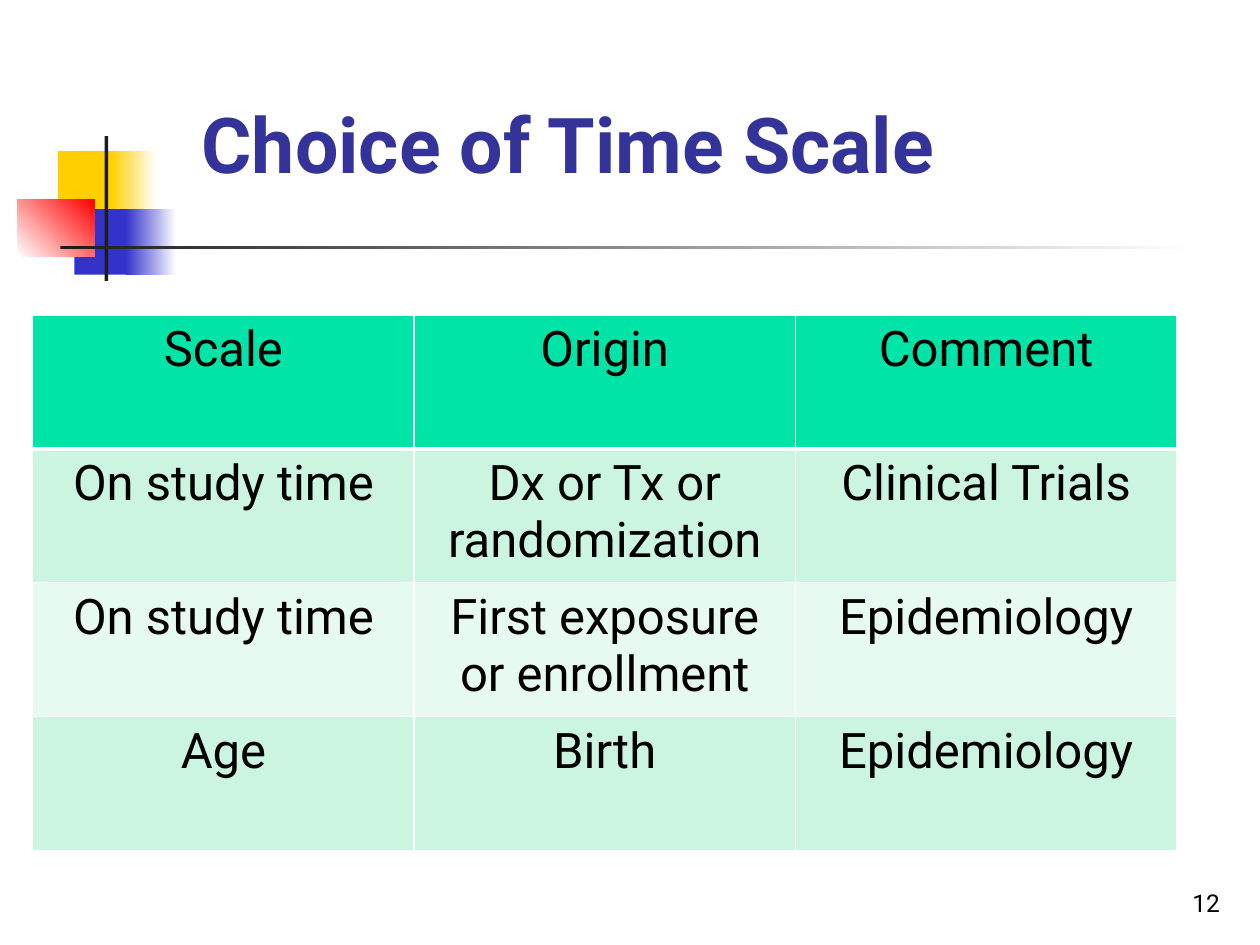
import pptx
import pptx.util
import pptx.dml.color
import pptx.enum.shapes
import pptx.enum.text
import pptx.oxml
import pptx.oxml.ns

Pt = pptx.util.Pt
ALIGN = pptx.enum.text.PP_ALIGN
FONT = "Roboto"
COLORS = {
    "white": "FFFFFF",
    "black": "000000",
    "charcoal": "1C1C1C",
    "yellow": "FFCF01",
    "blue": "3333CC",
    "red": "FF0000",
    "title": "333399",
    "header": "00E4A8",
    "band_dark": "CCF5E1",
    "band_light": "E7FAF1",
}
MOTIF = [
    ((33.12, 86.4, 34.56, 37.44), ["yellow"], 0),
    ((63.36, 86.4, 25.92, 37.44), ["yellow", "white"], 0),
    ((42.48, 119.52, 33.12, 37.44), ["blue"], 0),
    ((72, 119.52, 28.8, 37.44), ["blue", "white"], 0),
    ((10.08, 113.76, 43.92, 33.12), ["white", "red"], 45),
    ((59.76, 77.76, 2.16, 82.8), ["charcoal"], 0),
    ((34.56, 140.4, 648, 2.16), ["charcoal", "white"], 0),
]
ROWS = [
    ["Scale", "Origin", "Comment"],
    ["On study time", "Dx or Tx or randomization", "Clinical Trials"],
    ["On study time", "First exposure\nor enrollment", "Epidemiology"],
    ["Age", "Birth", "Epidemiology"],
]
ROW_FILLS = ["header", "band_dark", "band_light", "band_dark"]


def rgb(name):
    return pptx.dml.color.RGBColor.from_string(COLORS[name])


def write_text(text_frame, text, size, color, alignment, bold=False):
    text_frame.text = text
    for paragraph in text_frame.paragraphs:
        paragraph.alignment = alignment
        for run in paragraph.runs:
            run.font.name = FONT
            run.font.size = Pt(size)
            run.font.bold = bold
            run.font.color.rgb = rgb(color)


def add_block(slide, box, colors, angle):
    shape = slide.shapes.add_shape(
        pptx.enum.shapes.MSO_SHAPE.RECTANGLE, *map(Pt, box))
    shape.shadow.inherit = False
    shape.line.fill.background()
    if len(colors) == 1:
        shape.fill.solid()
        shape.fill.fore_color.rgb = rgb(colors[0])
        return
    shape.fill.gradient()
    shape.fill.gradient_angle = angle
    for stop, color in zip(shape.fill.gradient_stops, colors):
        stop.color.rgb = rgb(color)


def set_title(slide, text):
    title = slide.shapes.title
    title.left, title.top, title.width, title.height = map(
        Pt, (108, 21.6, 576, 90))
    text_frame = title.text_frame
    write_text(text_frame, text, 44, "title", ALIGN.LEFT, True)
    text_frame.auto_size = pptx.enum.text.MSO_AUTO_SIZE.NONE
    text_frame.vertical_anchor = pptx.enum.text.MSO_ANCHOR.BOTTOM


def set_borders(cell, bottom_width):
    properties = cell._tc.get_or_add_tcPr()
    for side, width in zip("LRTB", (1, 1, 1, bottom_width)):
        properties.append(pptx.oxml.parse_xml(
            f'<a:ln{side} {pptx.oxml.ns.nsdecls("a")} w="{Pt(width)}">'
            f'<a:solidFill><a:srgbClr val="{COLORS["white"]}"/></a:solidFill>'
            f'</a:ln{side}>'))


def add_scale_table(slide):
    table = slide.shapes.add_table(
        len(ROWS), len(ROWS[0]), Pt(18.72), Pt(180), Pt(653.76), Pt(306)).table
    for row_index, (texts, fill) in enumerate(zip(ROWS, ROW_FILLS)):
        for column_index, text in enumerate(texts):
            cell = table.cell(row_index, column_index)
            write_text(cell.text_frame, text, 28, "black", ALIGN.CENTER)
            set_borders(cell, 3 if row_index == 0 else 1)
            cell.fill.solid()
            cell.fill.fore_color.rgb = rgb(fill)


def add_page_number(slide, text):
    text_frame = slide.shapes.add_textbox(
        Pt(554.4), Pt(491.76), Pt(149.76), Pt(36)).text_frame
    text_frame.word_wrap = True
    text_frame.vertical_anchor = pptx.enum.text.MSO_ANCHOR.BOTTOM
    write_text(text_frame, text, 14, "black", ALIGN.RIGHT)


def main():
    presentation = pptx.Presentation()
    presentation.slide_width = Pt(720)
    presentation.slide_height = Pt(540)
    slide = presentation.slides.add_slide(presentation.slide_layouts[5])
    for box, colors, angle in MOTIF:
        add_block(slide, box, colors, angle)
    set_title(slide, "Choice of Time Scale")
    add_scale_table(slide)
    add_page_number(slide, "12")
    presentation.save("out.pptx")


main()
